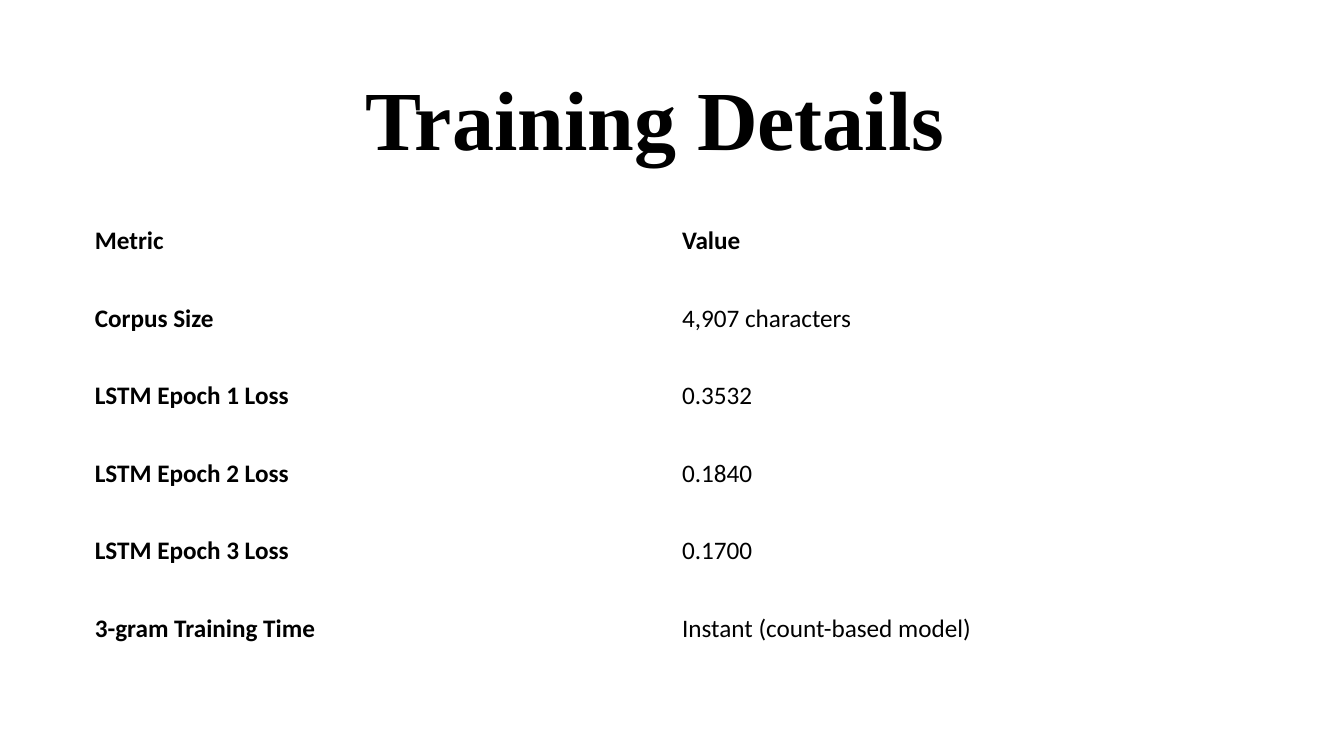
from pptx import Presentation
from pptx import util as u
from pptx.dml.color import RGBColor
from pptx.enum import text

BLACK = RGBColor(0, 0, 0)
WHITE = RGBColor(255, 255, 255)

METRICS = [
    ("Metric", "Value"),
    ("Corpus Size", "4,907 characters"),
    ("LSTM Epoch 1 Loss", "0.3532"),
    ("LSTM Epoch 2 Loss", "0.1840"),
    ("LSTM Epoch 3 Loss", "0.1700"),
    ("3-gram Training Time", "Instant (count-based model)"),
]


def write(frame, wording, size=18, font="Calibri", bold=False,
          align=text.PP_ALIGN.LEFT, spacing=1.0):
    para = frame.paragraphs[0]
    para.alignment = align
    para.line_spacing = spacing
    span = para.add_run()
    span.text = wording
    span.font.size = u.Pt(size)
    span.font.name = font
    span.font.bold = bold
    span.font.color.rgb = BLACK


def add_title(page, left, top, width, height):
    box = page.shapes.add_textbox(
        u.Inches(left), u.Inches(top), u.Inches(width), u.Inches(height))
    frame = box.text_frame
    frame.word_wrap = True
    frame.vertical_anchor = text.MSO_ANCHOR.MIDDLE
    write(frame, "Training Details", size=60, font="Times New Roman",
          bold=True, align=text.PP_ALIGN.CENTER, spacing=0.9)


def add_metrics(page, left, top, width, height):
    table = page.shapes.add_table(
        len(METRICS), len(METRICS[0]), u.Inches(left), u.Inches(top),
        u.Inches(width), u.Inches(height)).table
    table.first_row = False
    table.horz_banding = False
    for row, entries in enumerate(METRICS):
        for column, wording in enumerate(entries):
            cell = table.cell(row, column)
            cell.fill.background()
            cell.vertical_anchor = text.MSO_ANCHOR.MIDDLE
            write(cell.text_frame, wording, bold=row == 0 or column == 0)


def main():
    deck = Presentation()
    deck.slide_width = u.Inches(13.33)
    deck.slide_height = u.Inches(7.5)
    page = deck.slides.add_slide(deck.slide_layouts[6])
    page.background.fill.solid()
    page.background.fill.fore_color.rgb = WHITE
    add_title(page, 0.67, 0.6, 11.65, 1.24)
    add_metrics(page, 0.84, 2.01, 11.65, 4.61)
    deck.save("out.pptx")


if __name__ == "__main__":
    main()
